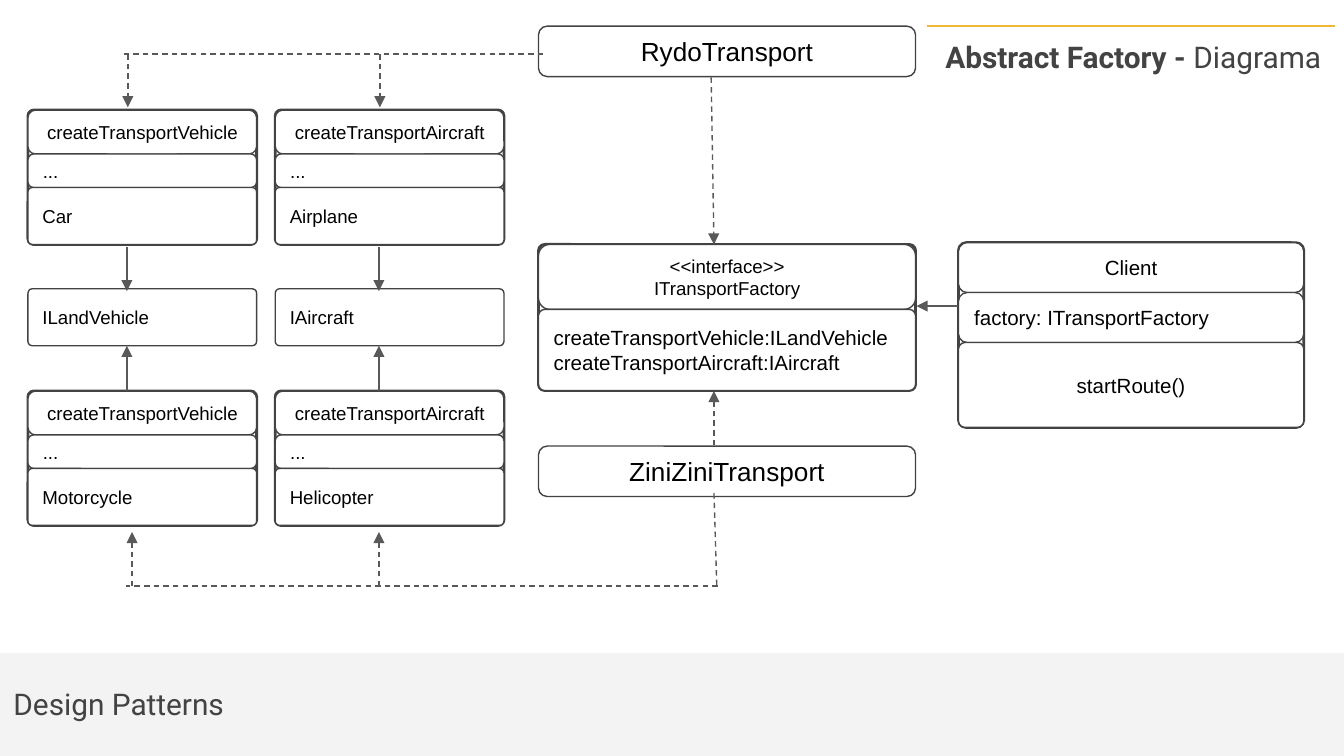
from typing import NamedTuple

from lxml.etree import SubElement
from pptx import Presentation
from pptx.dml.color import RGBColor
from pptx.enum.dml import MSO_LINE
from pptx.enum.shapes import MSO_CONNECTOR, MSO_SHAPE
from pptx.enum.text import MSO_ANCHOR, PP_ALIGN
from pptx.oxml.ns import qn
from pptx.util import Pt

COLORS = {
    "page": "F3F3F3", "white": "FFFFFF", "dark": "434343",
    "arrow": "595959", "gold": "EEBA36", "text": "000000",
}
INSET = 7.2
TOP, LOW, FRAME = 0.173, 0.077, 0.042


class Row(NamedTuple):
    lines: tuple[str, ...]
    height: float
    size: float = 10
    center: bool = False
    round: float = TOP


class Card(NamedTuple):
    left: float
    top: float
    width: float
    rows: tuple[Row, ...]


class Link(NamedTuple):
    start: tuple[float, float]
    end: tuple[float, float]
    dash: bool = True
    head: bool = True
    color: str = "arrow"
    weight: float = 0.75


def tint(name: str) -> RGBColor:
    return RGBColor.from_string(COLORS[name])


def draw_box(shapes, left: float, top: float, width: float, height: float,
             curve: float, weight: float = 0.75, filled: bool = True):
    box = shapes.add_shape(MSO_SHAPE.ROUNDED_RECTANGLE,
                           Pt(left), Pt(top), Pt(width), Pt(height))
    box.adjustments[0] = curve
    box.shadow.inherit = False
    if filled:
        box.fill.solid()
        box.fill.fore_color.rgb = tint("white")
    else:
        box.fill.background()
    box.line.color.rgb = tint("dark")
    box.line.width = Pt(weight)
    return box


def set_frame(frame, anchor: MSO_ANCHOR) -> None:
    frame.word_wrap = True
    frame.vertical_anchor = anchor
    frame.margin_left = frame.margin_right = Pt(INSET)
    frame.margin_top = frame.margin_bottom = Pt(INSET)


def draw_row(shapes, left: float, top: float, width: float, row: Row) -> None:
    box = draw_box(shapes, left, top, width, row.height, row.round)
    frame = box.text_frame
    set_frame(frame, MSO_ANCHOR.MIDDLE)
    for i, line in enumerate(row.lines):
        para = frame.add_paragraph() if i else frame.paragraphs[0]
        para.text = line
        para.alignment = PP_ALIGN.CENTER if row.center else PP_ALIGN.LEFT
        para.font.name = "Arial"
        para.font.size = Pt(row.size)
        para.font.color.rgb = tint("text")


def draw_card(page, card: Card) -> None:
    shapes = page.shapes
    if len(card.rows) > 1:
        shapes = shapes.add_group_shape().shapes
        height = sum(row.height for row in card.rows)
        draw_box(shapes, card.left, card.top, card.width, height, FRAME, 1.5, False)
    top = card.top
    for row in card.rows:
        draw_row(shapes, card.left, top, card.width, row)
        top += row.height


def draw_link(page, link: Link) -> None:
    line = page.shapes.add_connector(MSO_CONNECTOR.STRAIGHT,
                                     *map(Pt, link.start + link.end))
    line.line.color.rgb = tint(link.color)
    line.line.width = Pt(link.weight)
    if link.dash:
        line.line.dash_style = MSO_LINE.DASH
    if link.head:
        SubElement(line.line._get_or_add_ln(), qn("a:tailEnd"), type="triangle")
    SubElement(line._element.spPr, qn("a:effectLst"))


def fill_title(holder, left: float, top: float, width: float, height: float,
               align: PP_ALIGN, parts: tuple[tuple[str, bool], ...]) -> None:
    holder.left, holder.top = Pt(left), Pt(top)
    holder.width, holder.height = Pt(width), Pt(height)
    set_frame(holder.text_frame, MSO_ANCHOR.BOTTOM)
    para = holder.text_frame.paragraphs[0]
    para.alignment = align
    para.space_before = Pt(0)
    para.font.name = "Roboto"
    para.font.size = Pt(16)
    para.font.color.rgb = tint("dark")
    for text, bold in parts:
        run = para.add_run()
        run.text = text
        run.font.bold = bold


def make_class(left: float, top: float, method: str, name: str) -> Card:
    return Card(left, top, 122.5, (
        Row((method,), 23.5, center=True),
        Row(("...",), 18),
        Row((name,), 30.5, round=LOW),
    ))


LEFTS = (15, 147.5)
MIDS = (68, 203)
KINDS = (
    ("createTransportVehicle", "Car", "ILandVehicle", "Motorcycle"),
    ("createTransportAircraft", "Airplane", "IAircraft", "Helicopter"),
)
HUB, SPAN = 288.5, 202

cards = [
    Card(HUB, 14, SPAN, (Row(("RydoTransport",), 27, 14, True),)),
    Card(513.5, 130, 185, (
        Row(("Client",), 26.75, 11, True),
        Row(("factory: ITransportFactory",), 26.75, 11),
        Row(("startRoute()",), 45.5, 11, True, LOW),
    )),
    Card(HUB, 131, SPAN, (
        Row(("<<interface>>\nITransportFactory",), 34.75, center=True),
        Row(("createTransportVehicle:ILandVehicle",
             "createTransportAircraft:IAircraft"), 43.5, 11, round=LOW),
    )),
    Card(HUB, 239, SPAN, (Row(("ZiniZiniTransport",), 27, 14, True),)),
]
links = [
    Link((496.5, 14), (715, 14), False, False, "gold", 1.5),
    Link((382.5, 238.5), (382.5, 209.5)),
    Link((384.5, 314), (67.5, 314), head=False),
    Link((384, 313.5), (382.5, 264), head=False),
    Link((513, 164), (491, 164), dash=False),
    Link((291, 29), (65.5, 29), head=False),
    Link((381, 41.5), (382.5, 131)),
]
for left, mid, (method, upper, face, lower) in zip(LEFTS, MIDS, KINDS):
    cards += [
        make_class(left, 59, method, upper),
        make_class(left, 209.5, method, lower),
        Card(left, 154.75, 122.5, (Row((face,), 30.5, round=LOW),)),
    ]
    links += [
        Link((mid + 0.5, 29), (mid + 0.5, 57.5)),
        Link((mid, 132.5), (mid, 156), dash=False),
        Link((mid, 209.5), (mid, 185.25), dash=False),
    ]
links += [Link((x, 314), (x, 285)) for x in (70.75, 203)]

deck = Presentation()
deck.slide_width, deck.slide_height = Pt(720), Pt(405)
page = deck.slides.add_slide(deck.slide_layouts[0])
page.background.fill.solid()
page.background.fill.fore_color.rgb = tint("page")

panel = page.shapes.add_shape(MSO_SHAPE.RECTANGLE, 0, 0, Pt(720), Pt(350))
panel.shadow.inherit = False
panel.fill.solid()
panel.fill.fore_color.rgb = tint("white")
panel.line.fill.background()
page.shapes._spTree.insert(2, panel._element)

fill_title(page.shapes.title, 354, -19.5, 361, 66.5, PP_ALIGN.RIGHT,
           (("Abstract Factory - ", True), ("Diagrama", False)))
fill_title(page.placeholders[1], 0, 363, 394, 31, PP_ALIGN.LEFT,
           (("Design Patterns", False),))
for card in cards:
    draw_card(page, card)
for link in links:
    draw_link(page, link)

deck.save("out.pptx")
